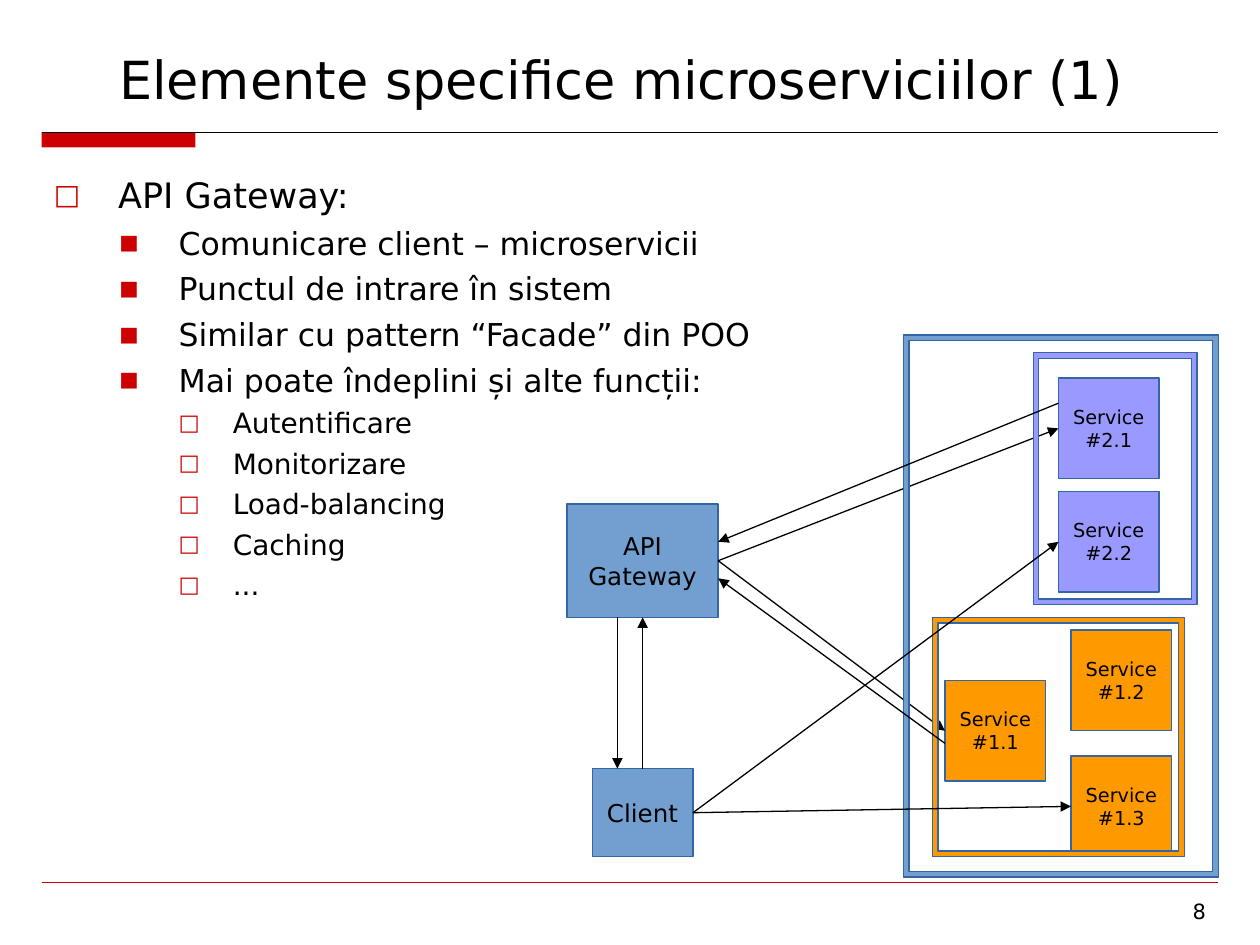
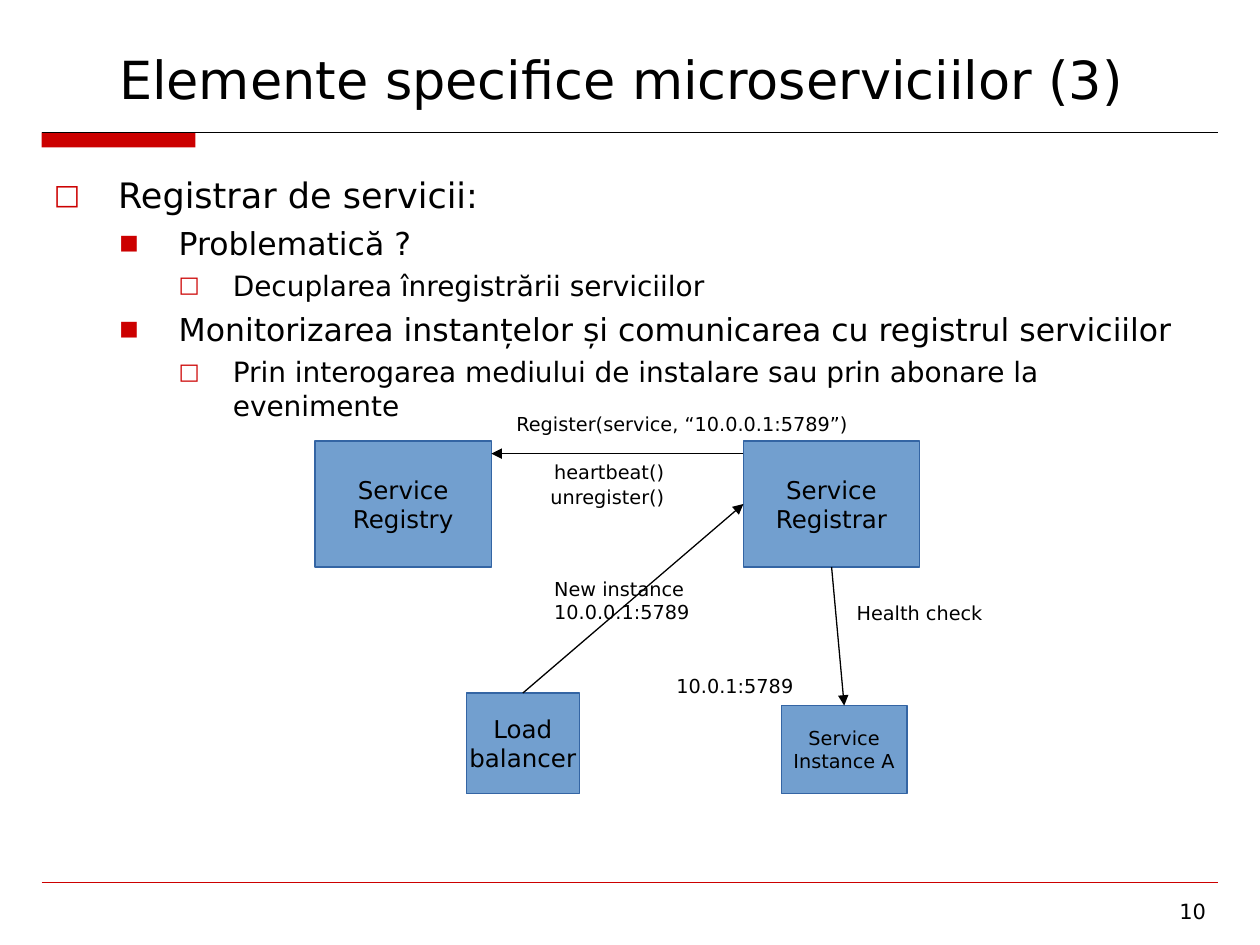
"""Builds two slides on the elements of microservices."""
from dataclasses import dataclass

from lxml import etree
from pptx import Presentation
from pptx import util as u
from pptx.dml.color import RGBColor
from pptx.enum import shapes, text
from pptx.oxml import ns


@dataclass(frozen=True)
class Theme:
    """Colours, font, type sizes and line widths shared by the slides."""
    font: str = "DejaVu Sans"
    ink: str = "000000"
    accent: str = "CC0000"
    outline: str = "3465A4"
    blue: str = "729FCF"
    violet: str = "9999FF"
    orange: str = "FF9900"
    title: int = 30
    node: int = 14
    small: int = 11
    number: int = 12
    line: float = 0.75
    hairline: float = 0.25


@dataclass(frozen=True)
class Level:
    """Format of one outline level; indents are in grid columns."""
    size: int
    left: float
    hanging: float
    before: float
    bullet: str
    bullet_size: int


THEME = Theme()
LEVELS = (
    Level(20, 5.1, 5.1, 5, "□", 80),
    Level(18, 9.9, 4.7, 4.5, "■", 65),
    Level(16, 14.2, 4.3, 4, "□", 80),
)
COLS, ROWS = 100, 75
CELL = u.Inches(0.1)
MARGIN, CONTENT = 3.3, 93.4
ALIGN, ANCHOR = text.PP_ALIGN, text.MSO_ANCHOR


def grid(*cells):
    """Turns grid columns and rows into slide lengths."""
    return [u.Emu(round(c * CELL)) for c in cells]


def rgb(value):
    """Turns a hex string into a colour."""
    return RGBColor.from_string(value)


def add_xml(parent, tag, **attrs):
    """Appends a DrawingML element with the given attributes."""
    return etree.SubElement(parent, ns.qn(tag), attrs)


def write(tf, content, size=THEME.small, align=ALIGN.LEFT,
          anchor=ANCHOR.TOP, wrap=True):
    """Fills a text frame, one paragraph for each line of content."""
    tf.word_wrap = wrap
    tf.vertical_anchor = anchor
    tf.text = content
    for p in tf.paragraphs:
        p.alignment = align
        for r in p.runs:
            r.font.size = u.Pt(size)
            r.font.name = THEME.font
            r.font.color.rgb = rgb(THEME.ink)
    return tf.paragraphs


def add_label(s, box, content, **fmt):
    """Adds a text box at a grid place."""
    return write(s.shapes.add_textbox(*grid(*box)).text_frame, content, **fmt)


def add_block(s, box, fill, kind=shapes.MSO_SHAPE.RECTANGLE, outline=THEME.outline):
    """Adds a filled shape, outlined unless the outline is None."""
    sp = s.shapes.add_shape(kind, *grid(*box))
    sp.shadow.inherit = False
    sp.fill.solid()
    sp.fill.fore_color.rgb = rgb(fill)
    if outline:
        sp.line.color.rgb = rgb(outline)
        sp.line.width = u.Pt(THEME.line)
    else:
        sp.line.fill.background()
    return sp


def add_node(s, box, content, fill=THEME.blue, size=THEME.node):
    """Adds a box with a centred caption."""
    sp = add_block(s, box, fill)
    write(sp.text_frame, content, size=size, align=ALIGN.CENTER,
          anchor=ANCHOR.MIDDLE, wrap=False)


def add_service(s, left, top, name, fill):
    """Adds a square service box."""
    add_node(s, (left, top, 8, 8), f"Service\n{name}", fill, THEME.small)


def add_frame(s, box, fill):
    """Adds a hollow frame with an even, thin border."""
    sp = add_block(s, box, fill, shapes.MSO_SHAPE.FRAME)
    sp.adjustments[0] = 0.45 / min(box[2:])


def add_line(s, start, end, color=THEME.ink, width=THEME.line):
    """Adds a straight line between two grid points."""
    line = s.shapes.add_connector(
        shapes.MSO_CONNECTOR.STRAIGHT, *grid(*start, *end))
    line.line.color.rgb = rgb(color)
    line.line.width = u.Pt(width)
    add_xml(line._element.spPr, "a:effectLst")
    return line


def add_arrow(s, start, end):
    """Adds a line with an arrowhead at its end."""
    line = add_line(s, start, end)
    add_xml(line.line._get_or_add_ln(), "a:tailEnd", type="triangle")


def add_outline(s, items):
    """Adds the bulleted text from pairs of level and wording."""
    lines = "\n".join(wording for _, wording in items)
    paragraphs = add_label(s, (MARGIN, 13.3, CONTENT, 55.8), lines)
    for p, (depth, _) in zip(paragraphs, items):
        level = LEVELS[depth]
        p.level = depth
        p.space_before = u.Pt(level.before)
        for r in p.runs:
            r.font.size = u.Pt(level.size)
        left, hanging = grid(level.left, level.hanging)
        pPr = p._p.get_or_add_pPr()
        pPr.set("marL", str(left))
        pPr.set("indent", str(-hanging))
        add_xml(add_xml(pPr, "a:buClr"), "a:srgbClr", val=THEME.accent)
        add_xml(pPr, "a:buSzPct", val=str(level.bullet_size * 1000))
        add_xml(pPr, "a:buFont", typeface=THEME.font)
        add_xml(pPr, "a:buChar", char=level.bullet)


def add_slide(prs, part, number, items):
    """Adds a slide with its title, rules, page number and outline."""
    s = prs.slides.add_slide(prs.slide_layouts[6])
    right = MARGIN + CONTENT
    add_block(s, (MARGIN, 10.5, 12.2, 1.2), THEME.accent, outline=None)
    add_line(s, (MARGIN, 10.5), (right, 10.5), width=THEME.hairline)
    add_line(s, (MARGIN, 70), (right, 70), THEME.accent, THEME.hairline)
    add_label(s, (91.7, 70.8, 5, 3.3), str(number), size=THEME.number,
              align=ALIGN.RIGHT)
    add_label(s, (MARGIN, 2.5, CONTENT, 6.7),
              f"Elemente specifice microserviciilor ({part}) ", size=THEME.title,
              align=ALIGN.CENTER, anchor=ANCHOR.BOTTOM)
    add_outline(s, items)
    return s


def build_gateway(prs):
    """Builds the slide on the API gateway."""
    s = add_slide(prs, 1, 8, [
        (0, "API Gateway:"),
        (1, "Comunicare client – microservicii"),
        (1, "Punctul de intrare în sistem"),
        (1, "Similar cu pattern “Facade” din POO"),
        (1, "Mai poate îndeplini și alte funcții:"),
        (2, "Autentificare"),
        (2, "Monitorizare"),
        (2, "Load-balancing"),
        (2, "Caching"),
        (2, "..."),
    ])
    for left, top, name, fill in (
            (85, 60, "#1.3", THEME.orange), (75, 54, "#1.1", THEME.orange),
            (85, 50, "#1.2", THEME.orange), (84, 30, "#2.1", THEME.violet),
            (84, 39, "#2.2", THEME.violet)):
        add_service(s, left, top, name, fill)
    add_node(s, (45, 40, 12, 9), "API\nGateway")
    add_node(s, (47, 61, 8, 7), "Client")

    gateway_out, client_out = (57, 44.5), (55, 64.5)
    add_arrow(s, gateway_out, (84, 34))
    add_arrow(s, gateway_out, (75, 58))
    add_frame(s, (71.7, 26.6, 25, 43), THEME.blue)
    add_frame(s, (82, 28, 13, 20), THEME.violet)
    add_frame(s, (74, 49, 20, 19), THEME.orange)
    for start, end in (
            (client_out, (84, 43)), (client_out, (85, 64)),
            ((84, 32), (57, 43)), ((75, 59), (57, 45.9)),
            ((49, 49), (49, 61)), ((51, 61), (51, 49))):
        add_arrow(s, start, end)


def build_registrar(prs):
    """Builds the slide on the service registrar."""
    s = add_slide(prs, 3, 10, [
        (0, "Registrar de servicii:"),
        (1, "Problematică ?"),
        (2, "Decuplarea înregistrării serviciilor"),
        (1, "Monitorizarea instanțelor și comunicarea cu registrul serviciilor"),
        (2, "Prin interogarea mediului de instalare sau prin abonare la evenimente"),
    ])
    add_node(s, (25, 35, 14, 10), "Service\nRegistry")
    add_node(s, (59, 35, 14, 10), "Service\nRegistrar")
    add_node(s, (37, 55, 9, 8), "Load\nbalancer")
    add_node(s, (62, 56, 10, 7), "Service\nInstance A", size=THEME.small)
    for start, end in (((59, 36), (39, 36)), ((66, 45), (67, 56)),
                       ((41.5, 55), (59, 40))):
        add_arrow(s, start, end)
    for box, content in (
            ((40, 32.2, 52, 2.8), "Register(service, “10.0.0.1:5789”)"),
            ((43, 36, 14, 2.8), "heartbeat()"),
            ((42.7, 38, 14, 2.8), "unregister()"),
            ((43, 45.3, 15, 4.7), "New instance\n10.0.0.1:5789"),
            ((52.7, 53, 14, 2.8), "10.0.1:5789"),
            ((67, 47.2, 15, 2.8), "Health check")):
        add_label(s, box, content)


def main():
    """Builds and saves the presentation."""
    prs = Presentation()
    prs.slide_width, prs.slide_height = grid(COLS, ROWS)
    build_gateway(prs)
    build_registrar(prs)
    prs.save("out.pptx")


if __name__ == "__main__":
    main()
